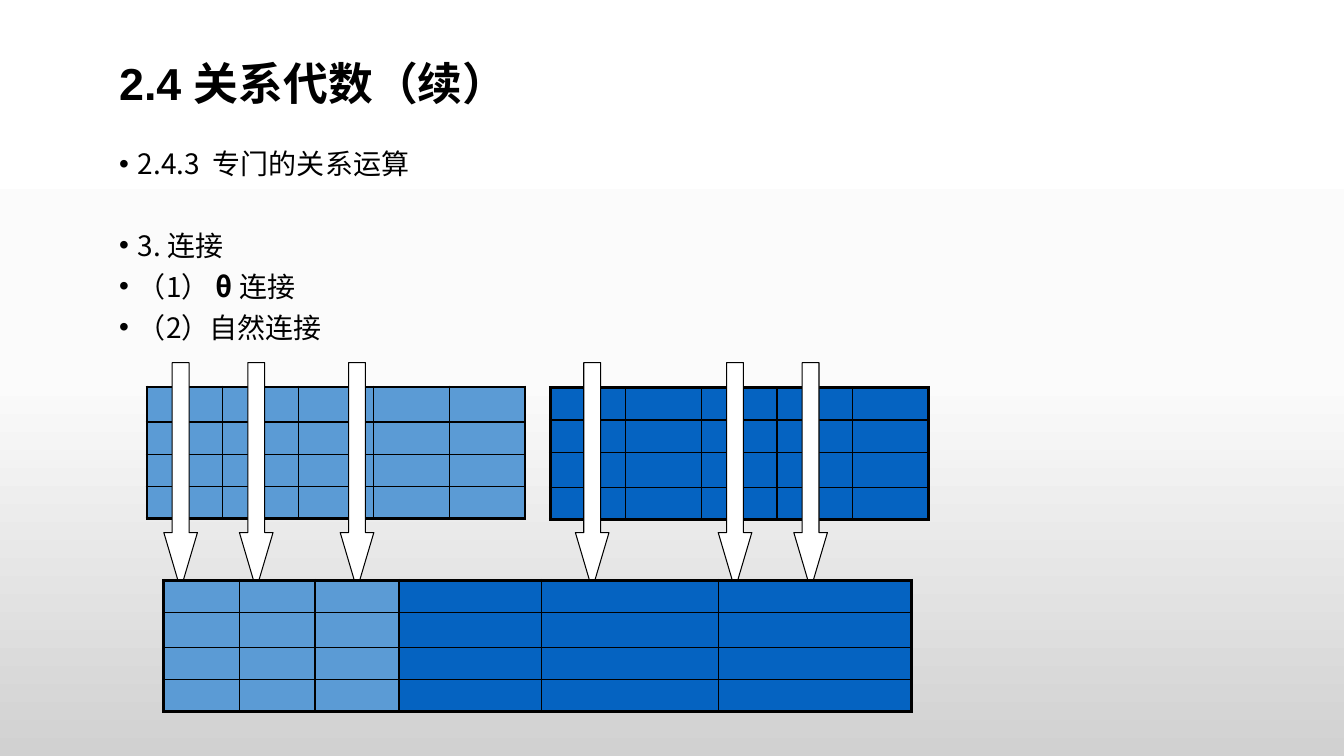
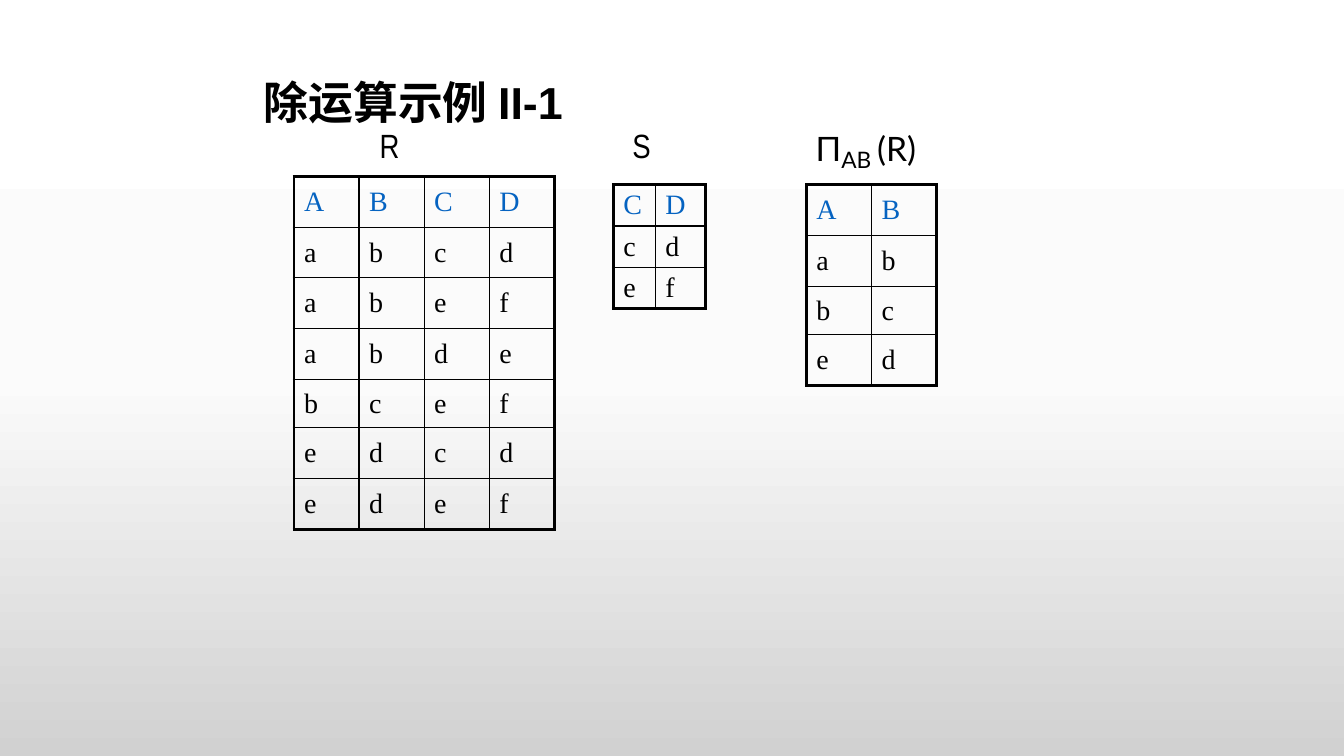
from copy import deepcopy
from dataclasses import dataclass

from lxml import etree
from pptx import Presentation
from pptx.dml.color import RGBColor
from pptx.enum.shapes import MSO_SHAPE
from pptx.enum.text import MSO_ANCHOR, PP_ALIGN
from pptx.oxml.ns import qn
from pptx.util import Pt

DOWN_ARROW = MSO_SHAPE.DOWN_ARROW
TOP, MIDDLE = MSO_ANCHOR.TOP, MSO_ANCHOR.MIDDLE
LEFT, CENTER = PP_ALIGN.LEFT, PP_ALIGN.CENTER


@dataclass(frozen=True)
class Theme:
    black: str = "000000"
    white: str = "FFFFFF"
    light_blue: str = "5B9BD5"
    deep_blue: str = "0563C1"
    background: tuple = ((0, "FFFFFF"), (0.5, "FBFBFB"), (1, "D1D1D1"))
    title_font: str = "Arial"
    body_font: str = "Noto Sans CJK SC"
    table_font: str = "Times New Roman"
    label_font: str = "Arial Narrow"
    formula_font: str = "Lato"
    title_size: float = 32
    body_size: float = 20
    label_size: float = 24
    subscript_size: float = 28
    outer_line: float = 2.25
    inner_line: float = 1
    arrow_line: float = 0.75


THEME = Theme()
TITLE_FORMAT = {"name": THEME.title_font, "size": Pt(THEME.title_size), "bold": True}
BODY_FORMAT = {"name": THEME.body_font, "size": Pt(THEME.body_size)}
CELL_FORMAT = {"name": THEME.table_font, "size": Pt(THEME.body_size)}
LABEL_FORMAT = {"name": THEME.label_font, "size": Pt(THEME.label_size)}
FORMULA_FORMAT = {"name": THEME.formula_font, "size": Pt(THEME.label_size)}


def color(value):
    return RGBColor.from_string(value)


def set_background(master):
    """Give every slide the same vertical three-stop gradient."""
    fill = master.background.fill
    fill.gradient()
    fill.gradient_angle = 270
    stop_list = next(master.element.iter(qn("a:gsLst")))
    stop_list.append(deepcopy(stop_list[-1]))
    for stop, (position, value) in zip(fill.gradient_stops, THEME.background):
        stop.position = position
        stop.color.rgb = color(value)


def add_run(paragraph, text, formats, text_color=THEME.black, baseline=0):
    run = paragraph.add_run()
    run.text = text
    for name, value in formats.items():
        setattr(run.font, name, value)
    run.font.color.rgb = color(text_color)
    properties = run._r.get_or_add_rPr()
    etree.SubElement(properties, qn("a:ea"), typeface=THEME.body_font)
    if baseline:
        properties.set("baseline", str(baseline * 1000))


def add_text_frame(slide, box, anchor=TOP, wrap=True):
    frame = slide.shapes.add_textbox(*map(Pt, box)).text_frame
    frame.word_wrap = wrap
    frame.vertical_anchor = anchor
    return frame


def add_title(slide, box, text):
    paragraph = add_text_frame(slide, box, MIDDLE).paragraphs[0]
    paragraph.line_spacing = 0.9
    add_run(paragraph, text, TITLE_FORMAT)


def add_bullets(slide, box, items):
    """Each item is a space before and a list of (text, bold) runs."""
    frame = add_text_frame(slide, box)
    for index, (space_before, runs) in enumerate(items):
        paragraph = frame.add_paragraph() if index else frame.paragraphs[0]
        paragraph.alignment = LEFT
        paragraph.line_spacing = Pt(21.75)
        paragraph.space_before = Pt(space_before)
        properties = paragraph._p.get_or_add_pPr()
        properties.set("marL", str(Pt(13.5)))
        properties.set("indent", str(Pt(-13.5)))
        etree.SubElement(properties, qn("a:buFont"), typeface="Arial")
        etree.SubElement(properties, qn("a:buChar"), char="•")
        for text, bold in runs:
            add_run(paragraph, text, {**BODY_FORMAT, "bold": bold})


def add_label(slide, box, runs):
    """Each run is (text, formats, baseline percent)."""
    paragraph = add_text_frame(slide, box, wrap=False).paragraphs[0]
    paragraph.alignment = CENTER
    for text, formats, baseline in runs:
        add_run(paragraph, text, formats, baseline=baseline)


def set_borders(cell, outer_sides):
    properties = cell._tc.get_or_add_tcPr()
    for side in "LRTB":
        width = THEME.outer_line if side in outer_sides else THEME.inner_line
        line = etree.SubElement(properties, qn(f"a:ln{side}"), w=str(Pt(width)))
        fill = etree.SubElement(line, qn("a:solidFill"))
        etree.SubElement(fill, qn("a:srgbClr"), val=THEME.black)


def add_grid(slide, position, widths, heights):
    """Add a table with a heavy frame and thin inner rules."""
    size = (sum(widths), sum(heights))
    frame = slide.shapes.add_table(len(heights), len(widths), *map(Pt, position + size))
    table = frame.table
    table.first_row = table.horz_banding = False
    for column, width in zip(table.columns, widths):
        column.width = Pt(width)
    for row, height in zip(table.rows, heights):
        row.height = Pt(height)
    last_row, last_column = len(heights) - 1, len(widths) - 1
    for row_index, row in enumerate(table.rows):
        for column_index, cell in enumerate(row.cells):
            edges = {"L": column_index == 0, "R": column_index == last_column,
                     "T": row_index == 0, "B": row_index == last_row}
            set_borders(cell, [side for side, is_outer in edges.items() if is_outer])
            cell.margin_top = cell.margin_bottom = 0
            cell.vertical_anchor = MIDDLE
            cell.fill.background()
    return table


def add_colored_grid(slide, position, widths, heights, column_colors):
    table = add_grid(slide, position, widths, heights)
    for row in table.rows:
        for cell, value in zip(row.cells, column_colors):
            cell.fill.solid()
            cell.fill.fore_color.rgb = color(value)


def add_relation(slide, position, widths, heights, rows):
    """Each row is a string with one letter per attribute; the first is the header."""
    table = add_grid(slide, position, widths, heights)
    for index, (row, letters) in enumerate(zip(table.rows, rows)):
        text_color = THEME.black if index else THEME.deep_blue
        for cell, letter in zip(row.cells, letters):
            add_run(cell.text_frame.paragraphs[0], letter, CELL_FORMAT, text_color)


def add_down_arrow(slide, box):
    arrow = slide.shapes.add_shape(DOWN_ARROW, *map(Pt, box))
    arrow.adjustments[1] = 1.69
    arrow.shadow.inherit = False
    arrow.fill.solid()
    arrow.fill.fore_color.rgb = color(THEME.white)
    arrow.line.color.rgb = color(THEME.black)
    arrow.line.width = Pt(THEME.arrow_line)


def add_join_diagram(slide, left, top):
    """Two source relations, with arrows from kept columns to the joined one."""
    light, deep = THEME.light_blue, THEME.deep_blue
    add_colored_grid(slide, (left, top + 17.5), [54] * 5, [25, 23, 23, 23], [light] * 5)
    add_colored_grid(slide, (left + 288, top + 18), [54] * 5, [23, 23, 25, 23], [deep] * 5)
    for offset in (12, 66, 138, 306, 408, 462):
        add_down_arrow(slide, (left + offset, top, 24, 162))
    add_colored_grid(slide, (left + 12, top + 155.5), [54, 54, 60, 102, 126, 138],
                     [23, 25, 23, 23], [light] * 3 + [deep] * 3)


def build_join_slide(slide):
    add_title(slide, (78, 31.5, 612, 60), "2.4 关系代数（续）")
    add_bullets(slide, (78, 103.5, 612, 378), [
        (7.5, [("2.4.3  专门的关系运算", False)]),
        (36.75, [("3. 连接", False)]),
        (7.5, [("（1） ", False), ("θ ", True), ("连接", False)]),
        (7.5, [("（2）自然连接", False)]),
    ])
    add_join_diagram(slide, 105, 259)


def build_division_slide(slide):
    add_title(slide, (174, 48, 612, 54), " 除运算示例 II-1")
    add_relation(slide, (210, 126), [46.5] * 4, [36.25] * 4 + [34.75] + [36.25] * 2,
                 ["ABCD", "abcd", "abef", "abde", "bcef", "edcd", "edef"])
    add_relation(slide, (438, 132), [30, 36], [29.5] * 3, ["CD", "cd", "ef"])
    add_relation(slide, (576, 132), [46.5] * 2, [36.25, 36.25, 34.75, 36.25],
                 ["AB", "ab", "bc", "ed"])
    spacer = (" ", {**LABEL_FORMAT, "size": Pt(THEME.title_size)}, 0)
    for left, name in ((264, "R"), (444, "S")):
        add_label(slide, (left, 78, 36, 45), [(name, LABEL_FORMAT, 0), spacer])
    subscript = {**FORMULA_FORMAT, "size": Pt(THEME.subscript_size)}
    add_label(slide, (571, 84, 95, 36), [
        ("Π", FORMULA_FORMAT, 0), ("AB ", subscript, -18), ("(R)", FORMULA_FORMAT, 0)])


def main():
    presentation = Presentation()
    presentation.slide_width, presentation.slide_height = Pt(960), Pt(540)
    set_background(presentation.slide_master)
    blank_layout = presentation.slide_layouts[6]
    for build_slide in (build_join_slide, build_division_slide):
        build_slide(presentation.slides.add_slide(blank_layout))
    presentation.save("out.pptx")


if __name__ == "__main__":
    main()
